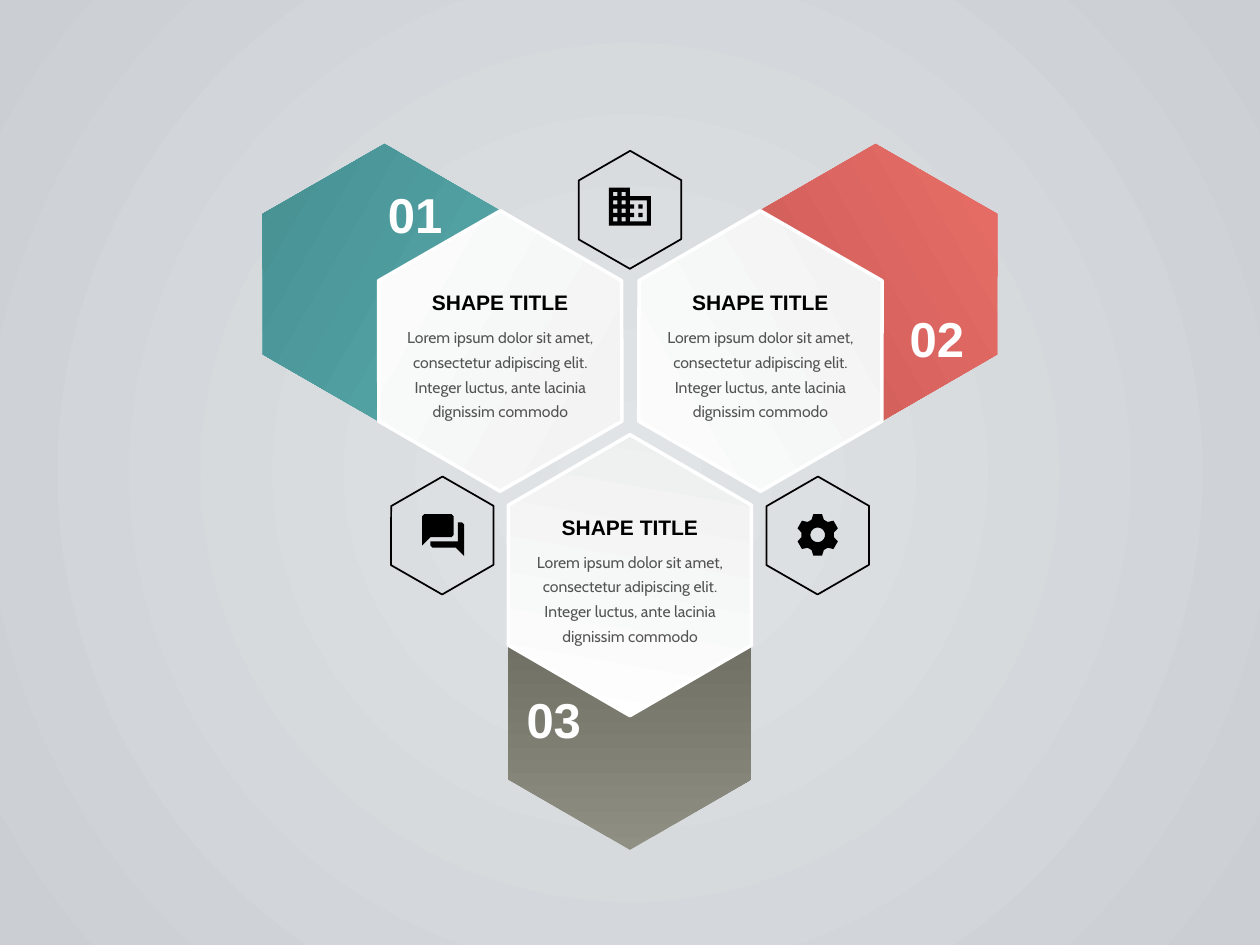
"""Build a slide of three overlapping hexagon panels with icons between them."""
import math
from dataclasses import dataclass

from lxml import etree
from pptx import Presentation
from pptx import util as u
from pptx.dml.color import RGBColor
from pptx.enum import shapes, text
from pptx.oxml import ns

COLUMNS, ROWS = 100, 75
CELL = u.Inches(0.1)
HEXAGON = (22.3, 19.3)
SMALL_HEXAGON = (9.4, 8.1)
NUMBER_BOX = (6.3, 4.7)
TEXT_WIDTH = 17.3
WHITE = RGBColor(0xFF, 0xFF, 0xFF)
BLACK = RGBColor(0, 0, 0)
PALE = RGBColor(0xED, 0xEF, 0xEE)
BACKGROUND = (RGBColor(0xE1, 0xE4, 0xE7), RGBColor(0xCB, 0xCF, 0xD3))
TEAL = (RGBColor(0x5B, 0xAE, 0xB1), RGBColor(0x43, 0x8B, 0x8D))
RED = (RGBColor(0xEC, 0x73, 0x6A), RGBColor(0xC7, 0x55, 0x55))
OLIVE = (RGBColor(0x8F, 0x8F, 0x83), RGBColor(0x63, 0x63, 0x59))
TITLE = "SHAPE TITLE"
BODY = ("Lorem ipsum dolor sit amet, consectetur adipiscing elit. "
        "Integer luctus, ante lacinia dignissim commodo")

Point = tuple[float, float]
Outline = list[Point]


@dataclass(frozen=True)
class Panel:
    """A coloured hexagon, the pale one over it and their text."""
    number: str
    colors: tuple[RGBColor, RGBColor]
    back: Point
    front: Point
    number_corner: Point
    rotation: int
    pale_angle: int = 0


@dataclass(frozen=True)
class Icon:
    """Outlines in small units, set in an empty hexagon."""
    hexagon: Point
    origin: Point
    unit: float
    outlines: list[Outline]


def square(column: int, row: int) -> Outline:
    """Return a window of one unit."""
    return [(column, row), (column + 1, row), (column + 1, row + 1), (column, row + 1)]


def polar(angle: float, radius: float) -> Point:
    """Return a point at an angle clockwise from the top."""
    turn = math.radians(angle)
    return radius * math.sin(turn), -radius * math.cos(turn)


GEAR = [
    [polar(tooth + angle, radius) for tooth in range(0, 360, 60)
     for angle, radius in ((-22, 1.3), (-12, 1.68), (12, 1.68), (22, 1.3))],
    [polar(angle, 0.58) for angle in range(0, 360, 15)],
]
BUILDING = [
    [(0, 0), (5, 0), (5, 2), (10, 2), (10, 9), (0, 9)],
    *[square(column, row) for column in (1, 3) for row in (1, 3, 5, 7)],
    [(9, 8), (5, 8), (5, 7), (6, 7), (6, 6), (5, 6), (5, 5), (6, 5), (6, 4),
     (5, 4), (5, 3), (9, 3)],
    square(7, 4), square(7, 6),
]
CHAT = [
    [(19, 4), (17, 4), (17, 13), (4, 13), (4, 15), (5, 16), (16, 16), (20, 20), (20, 5)],
    [(15, 10), (15, 1), (14, 0), (1, 0), (0, 1), (0, 15), (4, 11), (14, 11)],
]
PANELS = [
    Panel("03", OLIVE, (50, 56.3), (50, 45.65), (40.8, 54.7), 270, 170),
    Panel("02", RED, (69.5, 22.55), (60.35, 27.85), (71.2, 24.5), 150),
    Panel("01", TEAL, (30.5, 22.55), (39.7, 27.85), (29.8, 14.6), 210),
]
ICONS = [
    Icon((64.9, 42.5), (64.9, 42.45), 1, GEAR),
    Icon((35.1, 42.5), (33.5, 40.8), 1 / 6, CHAT),
    Icon((50, 16.65), (48.33, 14.9), 1 / 3, BUILDING),
]


def cells(*values: float) -> list[int]:
    """Turn grid cells into slide lengths."""
    return [round(value * CELL) for value in values]


def set_gradient(fill, colors: tuple[RGBColor, RGBColor], angle: int = 0) -> None:
    """Apply a linear gradient of two colours."""
    fill.gradient()
    fill.gradient_angle = angle
    for stop, color, position in zip(fill.gradient_stops, colors, (0, 1)):
        stop.color.rgb = color
        stop.position = position


def paint_background(slide) -> None:
    """Fill the slide with a gradient that spreads from its centre."""
    set_gradient(slide.background.fill, BACKGROUND)
    linear = slide.background._cSld.find(".//" + ns.qn("a:lin"))
    circle = etree.Element(ns.qn("a:path"), path="circle")
    etree.SubElement(circle, ns.qn("a:fillToRect"),
                     {side: "50000" for side in "ltrb"})
    linear.getparent().replace(linear, circle)


def add_hexagon(slide, center: Point, size: Point, rotation: int):
    """Add a regular hexagon around a centre."""
    left, top = (middle - length / 2 for middle, length in zip(center, size))
    shape = slide.shapes.add_shape(shapes.MSO_SHAPE.HEXAGON, *cells(left, top, *size))
    shape.adjustments[0] = 0.29
    shape.rotation = rotation
    shape.shadow.inherit = False
    shape.line.fill.background()
    return shape


def add_text(slide, box: tuple[float, ...], words: str, size: int, color: RGBColor,
             font: str = "Arial", bold: bool = True):
    """Add a centred text box and return its paragraph."""
    frame = slide.shapes.add_textbox(*cells(*box)).text_frame
    frame.word_wrap = True
    frame.margin_left = frame.margin_top = frame.margin_right = frame.margin_bottom = 0
    frame.vertical_anchor = text.MSO_ANCHOR.MIDDLE if bold else text.MSO_ANCHOR.TOP
    paragraph = frame.paragraphs[0]
    paragraph.text = words
    paragraph.alignment = text.PP_ALIGN.CENTER
    paragraph.font.name, paragraph.font.size = font, u.Pt(size)
    paragraph.font.bold = bold
    paragraph.font.color.rgb = color
    return paragraph


def add_panel(slide, panel: Panel) -> None:
    """Add both hexagons of a panel."""
    back = add_hexagon(slide, panel.back, HEXAGON, panel.rotation)
    set_gradient(back.fill, panel.colors)
    front = add_hexagon(slide, panel.front, HEXAGON, panel.rotation)
    set_gradient(front.fill, (PALE, WHITE), panel.pale_angle)
    front.line.color.rgb = WHITE
    front.line.width = u.Pt(2)


def add_panel_text(slide, panel: Panel) -> None:
    """Add the number, title and body of a panel."""
    x, y = panel.front
    left = x - TEXT_WIDTH / 2
    add_text(slide, (*panel.number_corner, *NUMBER_BOX), panel.number, 28, WHITE)
    add_text(slide, (left, y - 4.85, TEXT_WIDTH, 2), TITLE, 12, BLACK)
    body = add_text(slide, (left, y - 2.25, TEXT_WIDTH, 7.7), BODY, 9, BLACK, "Cabin", False)
    body.line_spacing = 1.3
    color = body._p.find(".//" + ns.qn("a:srgbClr"))
    etree.SubElement(color, ns.qn("a:alpha"), val="65000")


def add_icon(slide, icon: Icon) -> None:
    """Add an outlined hexagon and the icon within it."""
    frame = add_hexagon(slide, icon.hexagon, SMALL_HEXAGON, 150)
    frame.fill.background()
    frame.line.color.rgb = BLACK
    frame.line.width = u.Pt(1)
    x, y = icon.origin
    placed = [[cells(x + across * icon.unit, y + down * icon.unit)
               for across, down in outline] for outline in icon.outlines]
    builder = slide.shapes.build_freeform(*placed[0][0])
    builder.add_line_segments(placed[0][1:])
    for outline in placed[1:]:
        builder.move_to(*outline[0])
        builder.add_line_segments(outline[1:])
    shape = builder.convert_to_shape()
    shape.shadow.inherit = False
    shape.fill.solid()
    shape.fill.fore_color.rgb = BLACK
    shape.line.fill.background()


def main() -> None:
    """Build and save the presentation."""
    presentation = Presentation()
    presentation.slide_width, presentation.slide_height = cells(COLUMNS, ROWS)
    slide = presentation.slides.add_slide(presentation.slide_layouts[6])
    paint_background(slide)
    for draw, items in ((add_panel, PANELS), (add_icon, ICONS), (add_panel_text, PANELS)):
        for item in items:
            draw(slide, item)
    presentation.save("out.pptx")


if __name__ == "__main__":
    main()
